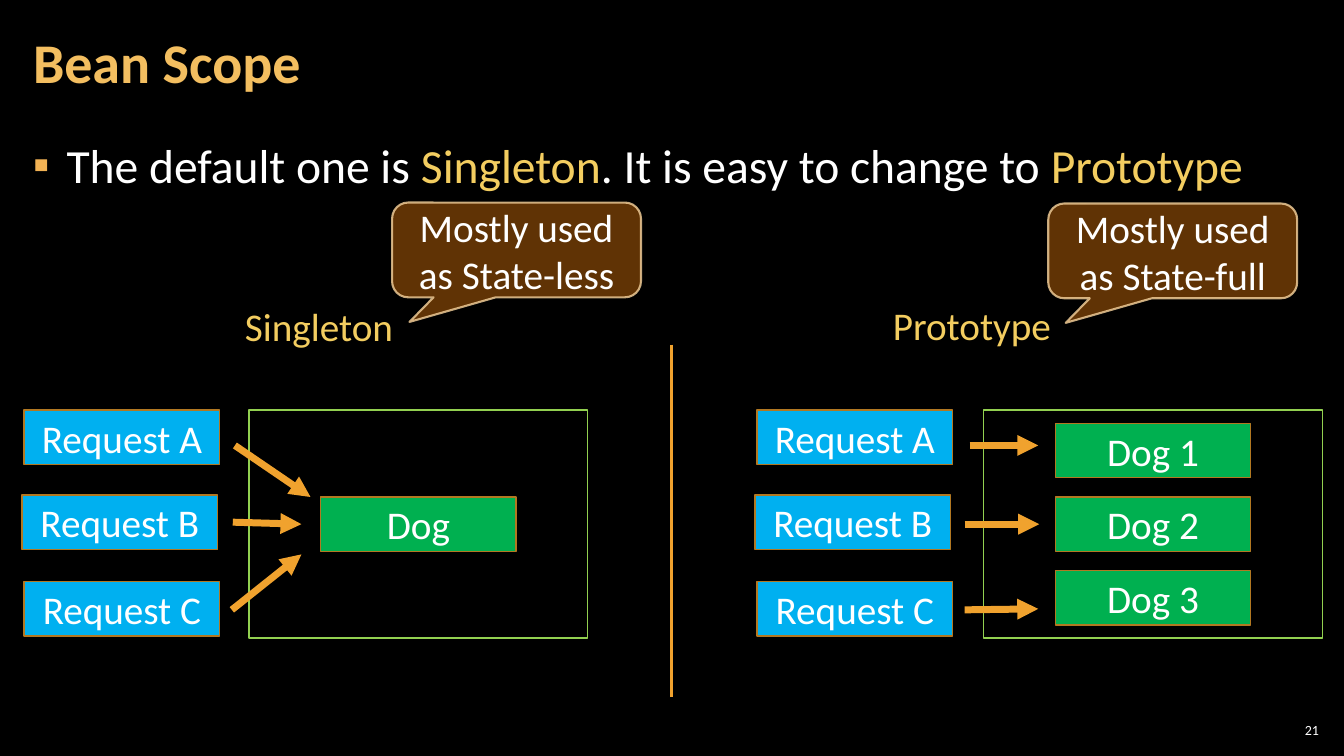
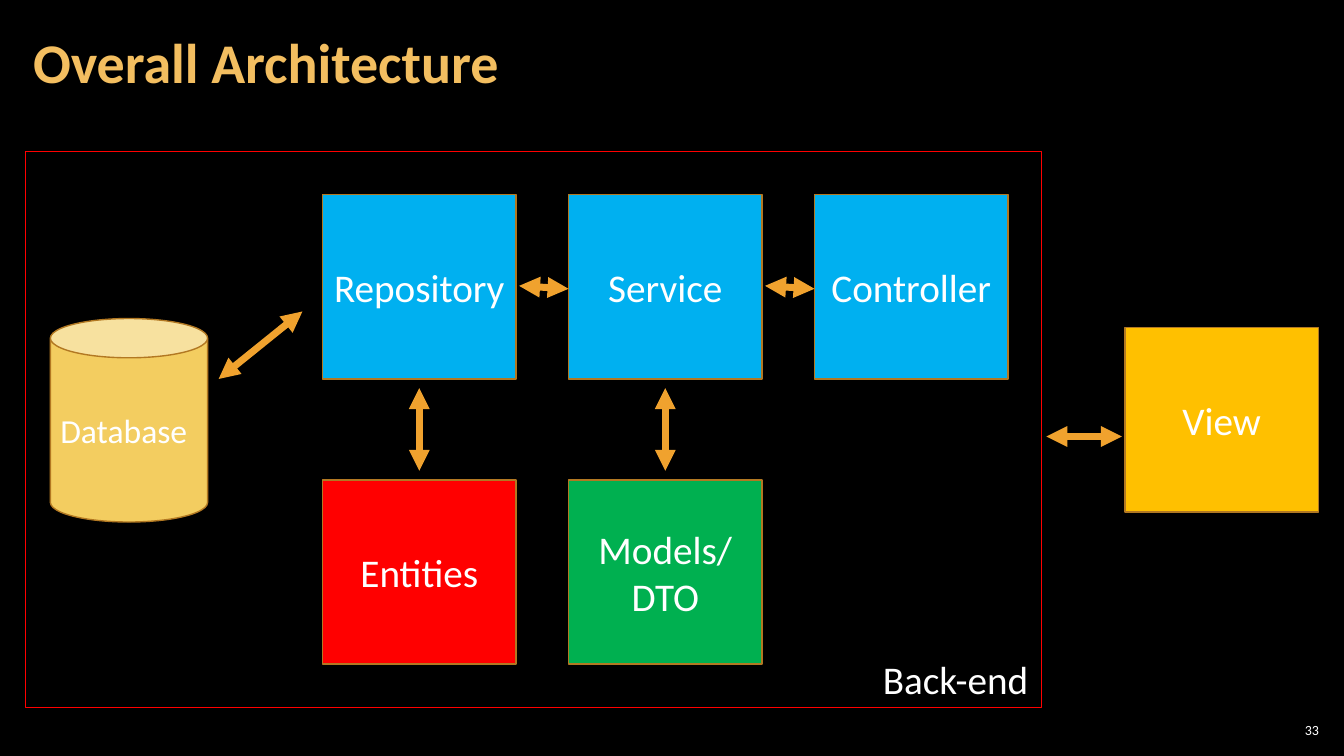
from lxml import etree
from pptx import Presentation
from pptx.dml.color import RGBColor
from pptx.enum import shapes, text
from pptx.oxml.ns import qn
from pptx.util import Pt

FONT = "Calibri"
HUES = {
    "back": "000000", "white": "FFFFFF", "title": "F3BE60", "gold": "F3CD60",
    "bullet": "F2B254", "arrow": "F0A22E", "edge": "B27822", "blue": "00B0F0",
    "green": "00B050", "red": "FF0000", "amber": "FFC000", "lime": "92D050",
    "brown": "663606", "cream": "F8D49E",
}
KINDS = shapes.MSO_SHAPE
LEFT, MID, RIGHT = text.PP_ALIGN.LEFT, text.PP_ALIGN.CENTER, text.PP_ALIGN.RIGHT
INSET = (7.2, 3.6, 7.2, 3.6)

# Bean Scope: each side has its own origins for requests, frame and callout
LEAD = [("The default one is ", "white"), ("Singleton", "gold"),
        (". It is easy to change to ", "white"), ("Prototype", "gold")]
ASKS = [("Request A", 1.5, 293), ("Request B", 0, 353.5), ("Request C", 1.5, 415.5)]
SIDES = [
    {"name": "Singleton", "label": (167.8, 212.4, 123.1, 41),
     "note": "Mostly used as State-less", "call": (280.1, 144.7),
     "asks": 15.8, "frame": 177.8, "dogs": 229, "beans": [("Dog", 1)],
     "arrows": [(167.8, 318.2, 221.8, 355), (166.3, 373, 215.3, 374.4),
                (165.6, 435.6, 215.3, 396)]},
    {"name": "Prototype", "label": (630.7, 211.7, 131.8, 41),
     "note": "Mostly used as State-full", "call": (748.8, 145.4),
     "asks": 539.3, "frame": 702.7, "dogs": 753.8,
     "beans": [("Dog 1", 0), ("Dog 2", 1), ("Dog 3", 2)],
     "arrows": [(692.6, 318.2, 741.6, 318.2), (689, 374.4, 742.3, 374.4),
                (689, 435.6, 741.6, 434.9)]},
]
ITEM = (139.7, 38.9)
BEAN_TOP, BEAN_STEP = 302.4, 52.6

# Overall Architecture: name, column, row, fill
PARTS = [("Repository", 0, 0, "blue"), ("Service", 1, 0, "blue"),
         ("Controller", 2, 0, "blue"), ("Entities", 0, 1, "red"),
         ("Models/\nDTO", 1, 1, "green")]
BOX = (138.2, 131.6)
GRID_X, GRID_Y, STEP_X, STEP_Y = 230.4, 139, 175.7, 203.8
LINKS = [(156.2, 270.7, 216, 222.5), (747.4, 311.8, 801.4, 311.8)]


def tint(fmt, hue, alpha=None):
    """Give a fill a solid colour, with opacity in percent if wanted."""
    fmt.solid()
    fmt.fore_color.rgb = RGBColor.from_string(HUES[hue])
    if alpha:
        clr = fmt._xPr.find(qn("a:solidFill"))[0]
        etree.SubElement(clr, qn("a:alpha"), val=str(alpha * 1000))


def write(shape, runs, size=28, hue="white", bold=False, align=LEFT,
          anchor=text.MSO_ANCHOR.TOP, inset=INSET, lead=None, gap=0, bullet=None):
    """Set text from a string or from (words, colour) pairs."""
    frame = shape.text_frame
    frame.word_wrap = True
    frame.vertical_anchor = anchor
    (frame.margin_left, frame.margin_top,
     frame.margin_right, frame.margin_bottom) = map(Pt, inset)
    para = frame.paragraphs[0]
    para.alignment = align
    para.space_before = para.space_after = Pt(gap)
    if lead:
        para.line_spacing = lead
    if bullet:
        props = para._p.get_or_add_pPr()
        props.set("marL", str(Pt(24)))
        props.set("indent", str(-Pt(24)))
        clr = etree.SubElement(props, qn("a:buClr"))
        etree.SubElement(clr, qn("a:srgbClr"), val=HUES["bullet"])
        etree.SubElement(props, qn("a:buFont"), typeface="Arial")
        etree.SubElement(props, qn("a:buChar"), char=bullet)
    pairs = [(runs, hue)] if isinstance(runs, str) else runs
    for words, shade in pairs:
        for row, line in enumerate(words.split("\n")):
            if row:
                para.add_line_break()
            run = para.add_run()
            run.text = line
            run.font.name, run.font.size, run.font.bold = FONT, Pt(size), bold
            tint(run.font.fill, shade)


def label(slide, at, runs, **style):
    write(slide.shapes.add_textbox(*map(Pt, at)), runs, **style)


def block(slide, at, words=None, kind=KINDS.RECTANGLE, fill=None, edge="edge",
          width=1, alpha=(None, None), **style):
    shape = slide.shapes.add_shape(kind, *map(Pt, at))
    shape.shadow.inherit = False
    if fill:
        tint(shape.fill, fill, alpha[0])
    else:
        shape.fill.background()
    tint(shape.line.fill, edge, alpha[1])
    shape.line.width = Pt(width)
    if words:
        write(shape, words, **{"align": MID, "anchor": text.MSO_ANCHOR.MIDDLE, **style})
    return shape


def link(slide, ends, width=5, tips=("tailEnd",)):
    """Draw a line with arrowheads at the named ends."""
    line = slide.shapes.add_connector(shapes.MSO_CONNECTOR.STRAIGHT, *map(Pt, ends))
    tint(line.line.fill, "arrow")
    line.line.width = Pt(width)
    for tip in tips:
        etree.SubElement(line.line._get_or_add_ln(), qn("a:" + tip), type="triangle")
    etree.SubElement(line._element.spPr, qn("a:effectLst"))


def start(deck, title, page):
    """Add a slide with the shared background, title and page number."""
    slide = deck.slides.add_slide(deck.slide_layouts[6])
    tint(slide.background.fill, "back")
    label(slide, (15, 3, 754, 87), title, size=40, hue="title", bold=True, lead=0.9,
          anchor=text.MSO_ANCHOR.MIDDLE, inset=(8.6, 2.9, 8.6, 2.9))
    label(slide, (911, 514, 34, 15), page, size=10, align=RIGHT,
          anchor=text.MSO_ANCHOR.MIDDLE, inset=(2.9,) * 4)
    return slide


def scope(deck):
    slide = start(deck, "Bean Scope", "21")
    label(slide, (15, 92.2, 930, 112), LEAD, size=34, lead=1.05, gap=6, bullet="▪",
          inset=(8.6, 2.9, 8.6, 2.9))
    for side in SIDES:
        block(slide, (side["frame"], 293, 242, 162.7), edge="lime")
        for name, shift, top in ASKS:
            block(slide, (side["asks"] + shift, top, *ITEM), name, fill="blue")
        for name, row in side["beans"]:
            top = BEAN_TOP + row * BEAN_STEP
            block(slide, (side["dogs"], top, *ITEM), name, fill="green")
        label(slide, side["label"], side["name"], hue="gold")
        for ends in side["arrows"]:
            link(slide, ends)
        call = block(slide, (*side["call"], 177.8, 67.7), side["note"],
                     kind=KINDS.ROUNDED_RECTANGULAR_CALLOUT, fill="brown",
                     edge="cream", width=1.5, alpha=(95, 80))
        for spot, value in enumerate((-0.43, 0.76, 0.17)):
            call.adjustments[spot] = value
    link(slide, (479.5, 246.2, 479.5, 498.2), width=2, tips=())


def layers(deck):
    slide = start(deck, "Overall Architecture", "33")
    both = ("headEnd", "tailEnd")
    block(slide, (18, 108, 725.8, 397.4), edge="red")
    block(slide, (36, 227.5, 112.3, 145.4), "Database", kind=KINDS.CAN, fill="gold",
          size=24, align=LEFT)
    for name, col, row, fill in PARTS:
        left, top = GRID_X + col * STEP_X, GRID_Y + row * STEP_Y
        block(slide, (left, top, *BOX), name, fill=fill)
        if row:
            mid = left + BOX[0] / 2
            link(slide, (mid, top - 6.5, mid, top - 65.5), tips=both)
        elif col:
            link(slide, (left - 35.3, 204.2, left, 206.3), tips=both)
    block(slide, (803.5, 234, *BOX), "View", fill="amber")
    for ends in LINKS:
        link(slide, ends, tips=both)
    label(slide, (623.5, 464.4, 120.2, 41), "Back-end")


def main():
    deck = Presentation()
    deck.slide_width, deck.slide_height = Pt(960), Pt(540)
    scope(deck)
    layers(deck)
    deck.save("out.pptx")


if __name__ == "__main__":
    main()
